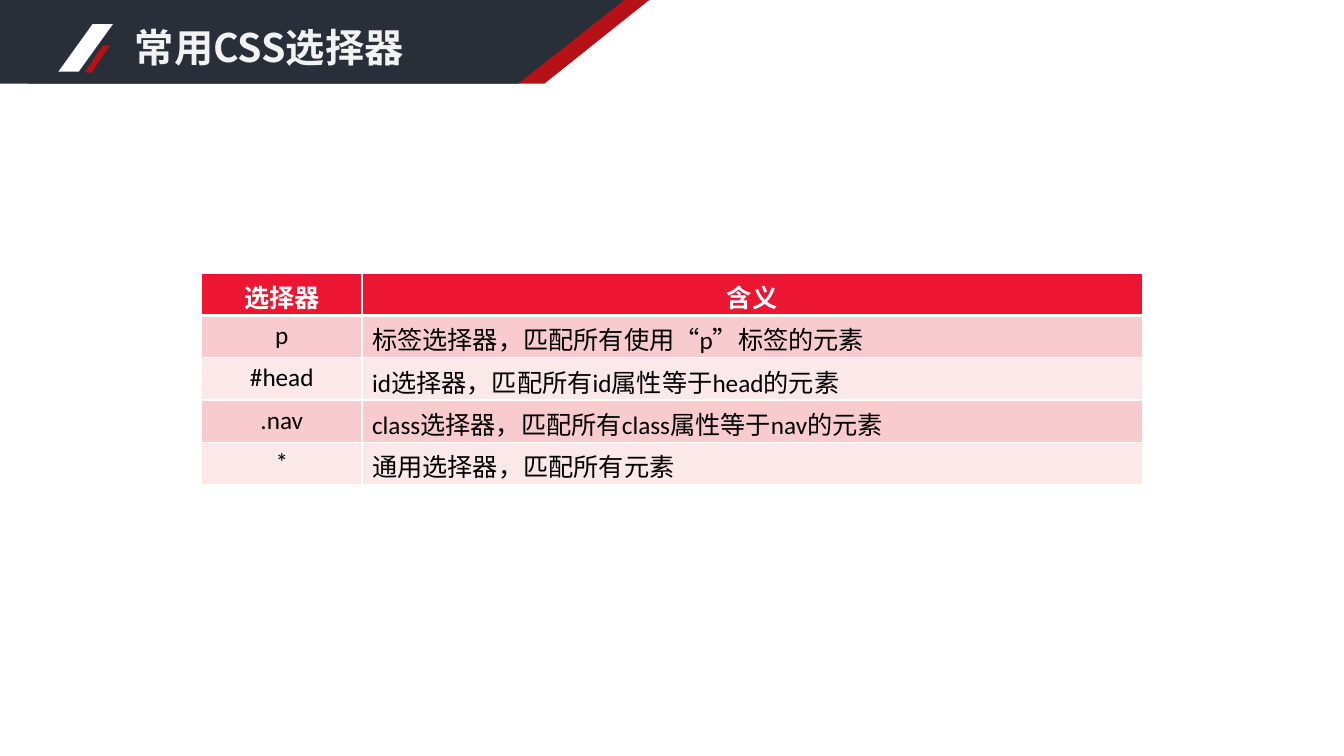
"""Build a slide with a table of common CSS selectors."""
from lxml.etree import SubElement
from pptx import Presentation
from pptx.dml.color import RGBColor
from pptx.enum.shapes import MSO_SHAPE
from pptx.enum.text import PP_ALIGN
from pptx.oxml.ns import qn
from pptx.util import Inches, Pt

COLORS = {
    "navy": "282F39",
    "dark_red": "B61117",
    "red": "EC1632",
    "pink": "F8CCCE",
    "pale": "FBE8E8",
    "white": "FFFFFF",
    "title": "F2F2F2",
    "black": "000000",
}

ROWS = [
    ("选择器", "含义"),
    ("p", "标签选择器，匹配所有使用“p”标签的元素"),
    ("#head", "id选择器，匹配所有id属性等于head的元素"),
    (".nav", "class选择器，匹配所有class属性等于nav的元素"),
    ("*", "通用选择器，匹配所有元素"),
]


class SlideBuilder:
    """Hold the style and the current slide."""

    def __init__(self, slide, colors):
        self.slide = slide
        self.colors = colors

    def rgb(self, color):
        return RGBColor.from_string(self.colors[color])

    def paint(self, sp, color):
        sp.shadow.inherit = False
        sp.fill.solid()
        sp.fill.fore_color.rgb = self.rgb(color)
        sp.line.fill.background()

    def banner(self, left, top_right, bottom_right, height, color):
        points = [(top_right, 0), (bottom_right, height), (left, height)]
        fb = self.slide.shapes.build_freeform(Inches(left), 0)
        fb.add_line_segments([(Inches(x), Inches(y)) for x, y in points])
        self.paint(fb.convert_to_shape(), color)

    def slash(self, left, top, width, height, color):
        sp = self.slide.shapes.add_shape(
            MSO_SHAPE.PARALLELOGRAM,
            Inches(left), Inches(top), Inches(width), Inches(height))
        sp.adjustments[0] = 0.72
        self.paint(sp, color)

    def set_text(self, tf, text, size, font, color, bold, align=PP_ALIGN.LEFT):
        p = tf.paragraphs[0]
        p.text = text
        p.alignment = align
        p.font.size = Pt(size)
        p.font.bold = bold
        p.font.color.rgb = self.rgb(color)
        p.font.name = font
        props = p._p.pPr.find(qn("a:defRPr"))
        SubElement(props, qn("a:ea"), typeface="Noto Sans CJK SC")

    def title(self, text, left, top, width, height):
        sp = self.slide.shapes.add_textbox(
            Inches(left), Inches(top), Inches(width), Inches(height))
        sp.text_frame.word_wrap = True
        self.set_text(sp.text_frame, text, 28, "Noto Sans CJK SC", "title", True)

    def borders(self, cell, widths):
        tc_pr = cell._tc.get_or_add_tcPr()
        for side, width in widths.items():
            ln = SubElement(tc_pr, qn(f"a:ln{side}"), w=str(Pt(width)))
            fill = SubElement(ln, qn("a:solidFill"))
            SubElement(fill, qn("a:srgbClr"), val=self.colors["white"])

    def table(self, rows, left, top, col_widths, row_height):
        table = self.slide.shapes.add_table(
            len(rows), len(col_widths), Inches(left), Inches(top),
            Inches(sum(col_widths)), Inches(row_height * len(rows))).table
        for col, width in zip(table.columns, col_widths):
            col.width = Inches(width)
        for i, row in enumerate(rows):
            table.rows[i].height = Inches(row_height)
            header = i == 0
            fill = "red" if header else ("pale", "pink")[i % 2]
            for j, text in enumerate(row):
                cell = table.cell(i, j)
                self.borders(cell, {"L": 1, "R": 1, "T": 3 if i == 1 else 1,
                                    "B": 3 if header else 1})
                cell.fill.solid()
                cell.fill.fore_color.rgb = self.rgb(fill)
                centred = header or j == 0
                self.set_text(cell.text_frame, text, 18, "Calibri",
                              "white" if header else "black", header,
                              PP_ALIGN.CENTER if centred else PP_ALIGN.LEFT)


def main():
    prs = Presentation()
    prs.slide_width, prs.slide_height = Inches(13.33), Inches(7.5)
    page = SlideBuilder(prs.slides.add_slide(prs.slide_layouts[6]), COLORS)
    page.banner(0.28, 6.44, 5.4, 0.83, "dark_red")
    page.banner(0, 6.19, 5.14, 0.83, "navy")
    page.slash(0.58, 0.24, 0.54, 0.47, "white")
    page.slash(0.84, 0.45, 0.25, 0.27, "dark_red")
    page.title("常用CSS选择器", 1.24, 0.18, 4.05, 0.6)
    page.table(ROWS, 2, 2.71, (1.59, 7.74), 0.42)
    prs.save("out.pptx")


if __name__ == "__main__":
    main()
